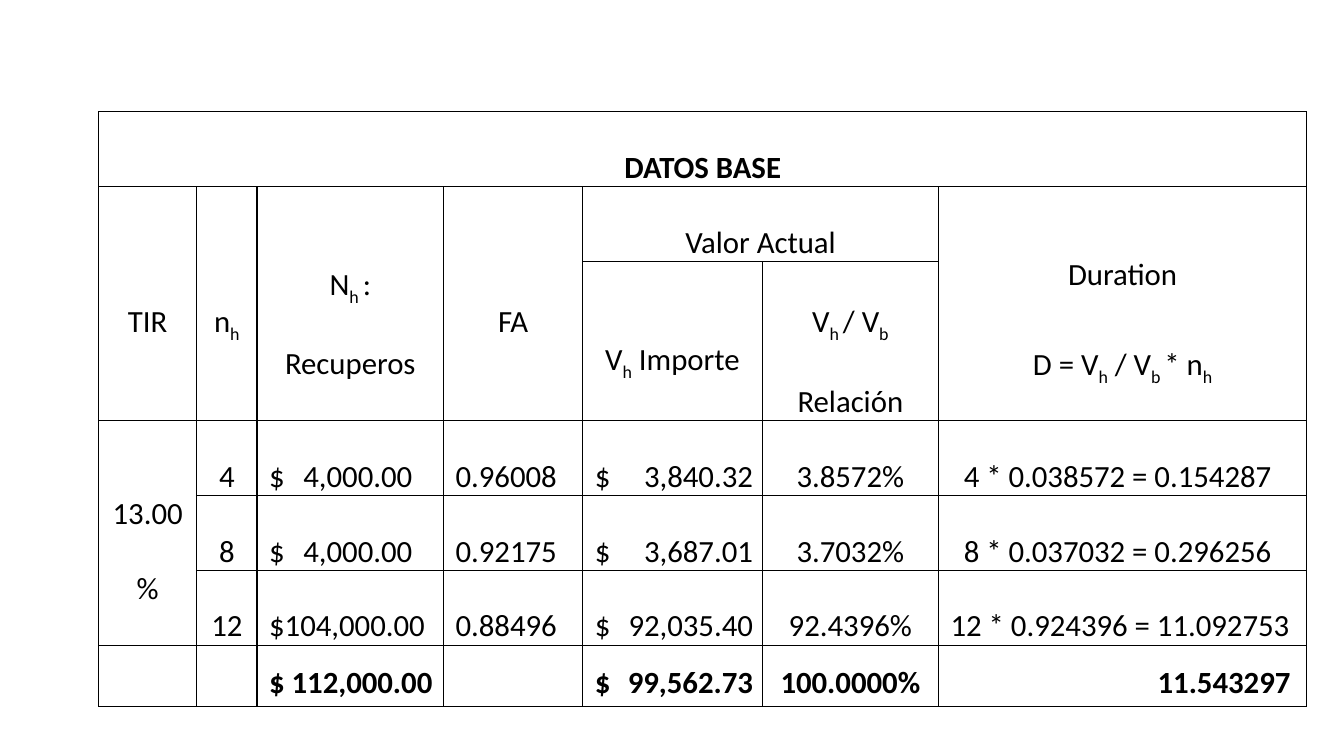
import dataclasses

import lxml.etree
import pptx
import pptx.dml.color
import pptx.enum.text
import pptx.oxml.ns
import pptx.util

Inches, Pt = pptx.util.Inches, pptx.util.Pt
ALIGN, ANCHOR = pptx.enum.text.PP_ALIGN, pptx.enum.text.MSO_ANCHOR


@dataclasses.dataclass(frozen=True)
class Theme:
    font: str = "Calibri"
    size: int = 22
    ink: str = "000000"
    rule_width: int = 1
    inset: float = 0.05
    indent: float = 0.12


THEME = Theme()
SLIDE_SIZE = (13.33, 7.5)
DATA_BOX = (0.98, 1.11, 11.98, 5.89)
COLUMNS = [0.97, 0.6, 1.85, 1.38, 1.78, 1.75, 3.65]
ROWS = [0.74, 0.74, 1.57, 0.74, 0.74, 0.74, 0.61]
TIR, PERIOD, RECOVERY, FACTOR, AMOUNT, RATIO, DURATION = range(len(COLUMNS))
FIRST_FLOW, TOTAL = 3, 6
# Right-hand tab stops that line up the figures after the currency sign
MONEY_STOPS = {RECOVERY: 1.42, AMOUNT: 1.57}

# (first row, first column, last row, last column)
MERGES = [
    (0, TIR, 0, DURATION),
    (1, TIR, 2, TIR),
    (1, PERIOD, 2, PERIOD),
    (1, RECOVERY, 2, RECOVERY),
    (1, FACTOR, 2, FACTOR),
    (1, AMOUNT, 1, RATIO),
    (1, DURATION, 2, DURATION),
    (3, TIR, 5, TIR),
]
# Text between underscores is set as a subscript
HEADINGS = {
    (1, TIR): "TIR",
    (1, PERIOD): "n_h_",
    (1, RECOVERY): "N_h _: Recuperos",
    (1, FACTOR): "FA",
    (1, AMOUNT): "Valor Actual",
    (1, DURATION): "Duration\nD = V_h_ / V_b _* n_h_",
    (2, AMOUNT): "V_h_ Importe",
    (2, RATIO): "V_h _/ V_b_ Relación",
}
FLOWS = [
    ("4", "$\t4,000.00", "0.96008", "$\t3,840.32", "3.8572%", "4 * 0.038572 = 0.154287"),
    ("8", "$\t4,000.00", "0.92175", "$\t3,687.01", "3.7032%", "8 * 0.037032 = 0.296256"),
    ("12", "$104,000.00", "0.88496", "$\t92,035.40", "92.4396%", "12 * 0.924396 = 11.092753"),
]
TOTALS = {
    RECOVERY: "$ 112,000.00",
    AMOUNT: "$\t99,562.73",
    RATIO: "100.0000%",
    DURATION: "11.543297",
}


def add_tab_stop(paragraph, position):
    properties = paragraph._p.get_or_add_pPr()
    stops = lxml.etree.SubElement(properties, pptx.oxml.ns.qn("a:tabLst"))
    lxml.etree.SubElement(stops, pptx.oxml.ns.qn("a:tab"),
                          pos=str(Inches(position)), algn="r")


def write(cell, text, align=ALIGN.CENTER, bold=False, spacing=2,
          anchor=ANCHOR.MIDDLE, left=THEME.inset, right=THEME.inset, stop=None):
    cell.vertical_anchor = anchor
    cell.margin_left, cell.margin_right = Inches(left), Inches(right)
    cell.margin_top = cell.margin_bottom = 0
    frame = cell.text_frame
    for number, line in enumerate(text.split("\n")):
        paragraph = frame.add_paragraph() if number else frame.paragraphs[0]
        paragraph.alignment = align
        paragraph.line_spacing = spacing
        paragraph.space_after = Pt(8)
        if stop and "\t" in line:
            add_tab_stop(paragraph, stop)
        for part, piece in enumerate(line.split("_")):
            if not piece:
                continue
            run = paragraph.add_run()
            run.text = piece
            run.font.name, run.font.size, run.font.bold = THEME.font, Pt(THEME.size), bold
            run.font.color.rgb = pptx.dml.color.RGBColor.from_string(THEME.ink)
            if part % 2:
                run._r.get_or_add_rPr().set("baseline", "-25000")


def rule_cell(cell):
    """Draw all four borders and leave the cell unfilled."""
    properties = cell._tc.get_or_add_tcPr()
    qn = pptx.oxml.ns.qn
    for side in ("lnL", "lnR", "lnT", "lnB"):
        line = lxml.etree.SubElement(properties, qn(f"a:{side}"),
                                     w=str(Pt(THEME.rule_width)))
        fill = lxml.etree.SubElement(line, qn("a:solidFill"))
        lxml.etree.SubElement(fill, qn("a:srgbClr"), val=THEME.ink)
    cell.fill.background()


def fill_headings(grid):
    write(grid.cell(0, 0), "DATOS BASE", bold=True, anchor=ANCHOR.TOP)
    for (row, column), heading in HEADINGS.items():
        write(grid.cell(row, column), heading)


def write_figure(grid, row, column, text, **form):
    if column not in (PERIOD, RATIO):
        form = {"align": ALIGN.LEFT, "left": THEME.indent,
                "stop": MONEY_STOPS.get(column), **form}
    write(grid.cell(row, column), text, **form)


def fill_flows(grid):
    write(grid.cell(FIRST_FLOW, TIR), "13.00%")
    for row, flow in enumerate(FLOWS, FIRST_FLOW):
        for column, figure in enumerate(flow, PERIOD):
            short = column == DURATION and len(flow[0]) == 1
            form = {"left": 0.25} if short else {}
            write_figure(grid, row, column, figure, **form)


def fill_totals(grid):
    for column, figure in TOTALS.items():
        form = {"align": ALIGN.RIGHT, "right": 0.16} if column == DURATION else {}
        write_figure(grid, TOTAL, column, figure, bold=True, spacing=1.5,
                     anchor=ANCHOR.TOP, **form)


def add_duration_table(slide, box):
    left, top, width, height = box
    grid = slide.shapes.add_table(len(ROWS), len(COLUMNS), Inches(left), Inches(top),
                                  Inches(width), Inches(height)).table
    grid.first_row = grid.horz_banding = False
    for column, share in zip(grid.columns, COLUMNS):
        column.width = Inches(width * share / sum(COLUMNS))
    for row, share in zip(grid.rows, ROWS):
        row.height = Inches(height * share / sum(ROWS))
    for cell in grid.iter_cells():
        rule_cell(cell)
    for top_row, first, bottom_row, last in MERGES:
        grid.cell(top_row, first).merge(grid.cell(bottom_row, last))
    fill_headings(grid)
    fill_flows(grid)
    fill_totals(grid)


def main():
    deck = pptx.Presentation()
    deck.slide_width, deck.slide_height = map(Inches, SLIDE_SIZE)
    slide = deck.slides.add_slide(deck.slide_layouts[6])
    add_duration_table(slide, DATA_BOX)
    deck.save("out.pptx")


if __name__ == "__main__":
    main()
